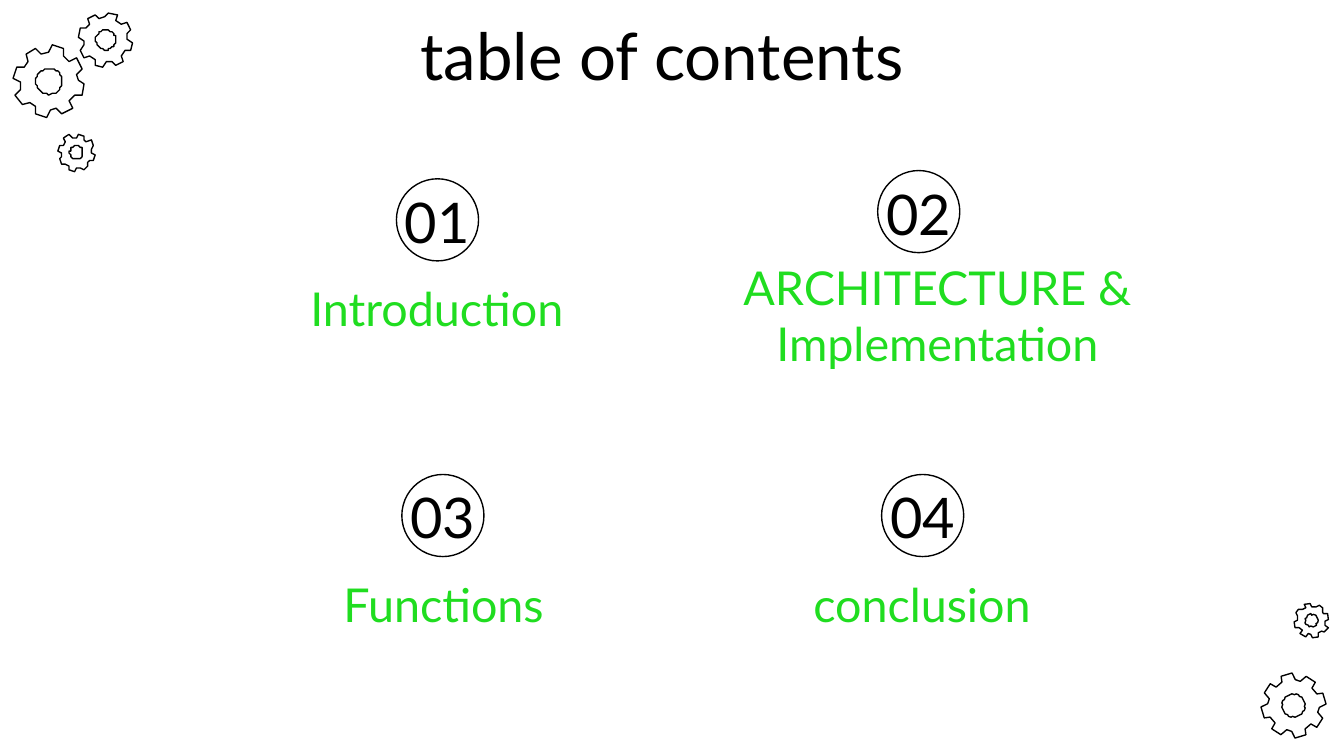
import math

import pptx
import pptx.dml.color
import pptx.enum.shapes
import pptx.enum.text
import pptx.util

Pt = pptx.util.Pt

# Content
HEADING = "table of contents"
# number, circle left and top, label, label left, top and width
SECTIONS = [
    ("01", 212.4, 95.8, "Introduction", 143.3, 144, 181.4),
    ("02", 470.2, 91.4, "ARCHITECTURE &\vImplementation", 362.9, 147.6, 278.6),
    ("03", 215.3, 254.2, "Functions", 146.9, 302.4, 181.4),
    ("04", 472.3, 254.2, "conclusion", 403.2, 302.4, 181.4),
]
# centre x, centre y, outer radius, rotation in degrees
GEARS = [
    (56.6, 21.3, 14.8, 0),
    (40.9, 81.8, 10, 0),
    (26.3, 43.6, 19.2, 0),
    (702.7, 332.6, 9.3, 333.7),
    (693, 378, 17, 333.7),
]

# Style
COLORS = {"ink": "000000", "label": "20DD20", "paper": "FFFFFF"}
FONT = "Lato"
CIRCLE = 44
LABEL_HEIGHT = 41.8
NUMBER_DROP, NUMBER_HEIGHT = 6.3, 32.4

# Gear proportions: radii relative to the outer radius, angles in degrees
TEETH, FIRST_TOOTH = 8, 14.3
ROOT, HOLE = 0.8, 0.36
TOOTH_PROFILE = [(-15.4, ROOT), (-9.4, 1), (9.4, 1), (15.4, ROOT)]
HOLE_STEP = 10


def color(name):
    return pptx.dml.color.RGBColor.from_string(COLORS[name])


def outline(shape):
    shape.shadow.inherit = False
    shape.line.color.rgb = color("ink")
    shape.line.width = Pt(0.75)


def add_gear(slide, x, y, radius, rotation):
    def point(angle, ratio):
        turn = math.radians(angle)
        return (x + radius * ratio * math.cos(turn),
                y + radius * ratio * math.sin(turn))

    rim = [point(FIRST_TOOTH + tooth * 360 / TEETH + offset, ratio)
           for tooth in range(TEETH) for offset, ratio in TOOTH_PROFILE]
    hole = [point(angle, HOLE) for angle in range(0, 360, HOLE_STEP)]
    builder = slide.shapes.build_freeform(*rim[0], scale=Pt(1))
    builder.add_line_segments(rim[1:], close=True)
    builder.move_to(*hole[0])
    builder.add_line_segments(hole[1:], close=True)
    gear = builder.convert_to_shape()
    gear.fill.background()
    gear.rotation = rotation
    outline(gear)


def add_circle(slide, left, top):
    circle = slide.shapes.add_shape(
        pptx.enum.shapes.MSO_SHAPE.OVAL,
        Pt(left), Pt(top), Pt(CIRCLE), Pt(CIRCLE))
    circle.fill.solid()
    circle.fill.fore_color.rgb = color("paper")
    outline(circle)


def add_text(slide, text, left, top, width, height, size, color_name):
    frame = slide.shapes.add_textbox(
        Pt(left), Pt(top), Pt(width), Pt(height)).text_frame
    frame.margin_left = frame.margin_right = 0
    frame.margin_top = frame.margin_bottom = 0
    frame.word_wrap = True
    frame.vertical_anchor = pptx.enum.text.MSO_ANCHOR.MIDDLE
    paragraph = frame.paragraphs[0]
    paragraph.text = text
    paragraph.alignment = pptx.enum.text.PP_ALIGN.CENTER
    paragraph.font.name = FONT
    paragraph.font.size = Pt(size)
    paragraph.font.color.rgb = color(color_name)


def main():
    deck = pptx.Presentation()
    deck.slide_width, deck.slide_height = Pt(720), Pt(405)
    slide = deck.slides.add_slide(deck.slide_layouts[6])

    # Corner gears
    for gear in GEARS:
        add_gear(slide, *gear)

    # Heading
    add_text(slide, HEADING, 51.1, 6.5, 607, 45.4, 35, "ink")

    # Numbered sections
    for number, x, y, label, left, top, width in SECTIONS:
        add_circle(slide, x, y)
        add_text(slide, number, x, y + NUMBER_DROP, CIRCLE, NUMBER_HEIGHT,
                 30, "ink")
        add_text(slide, label, left, top, width, LABEL_HEIGHT, 25, "label")

    deck.save("out.pptx")


if __name__ == "__main__":
    main()
